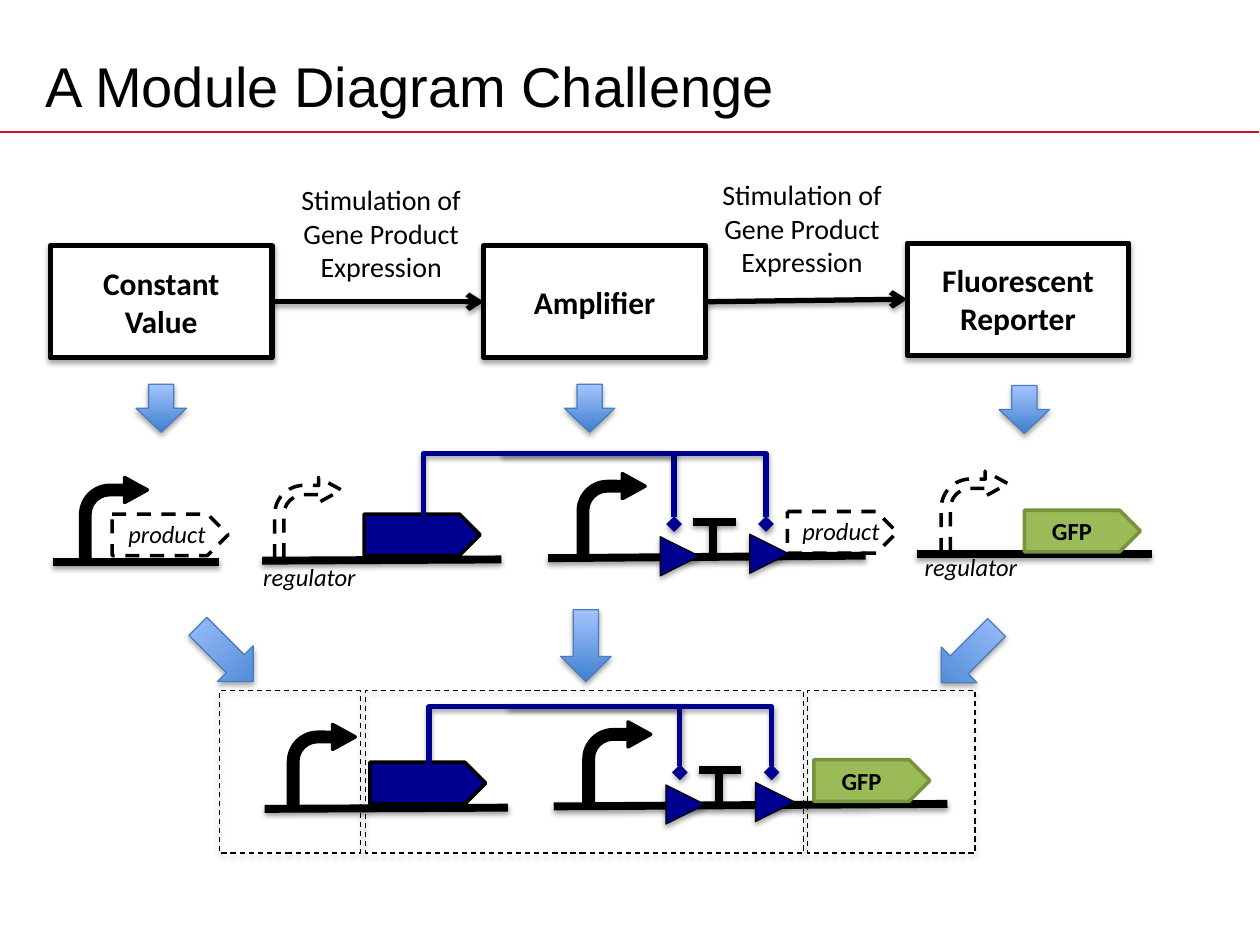
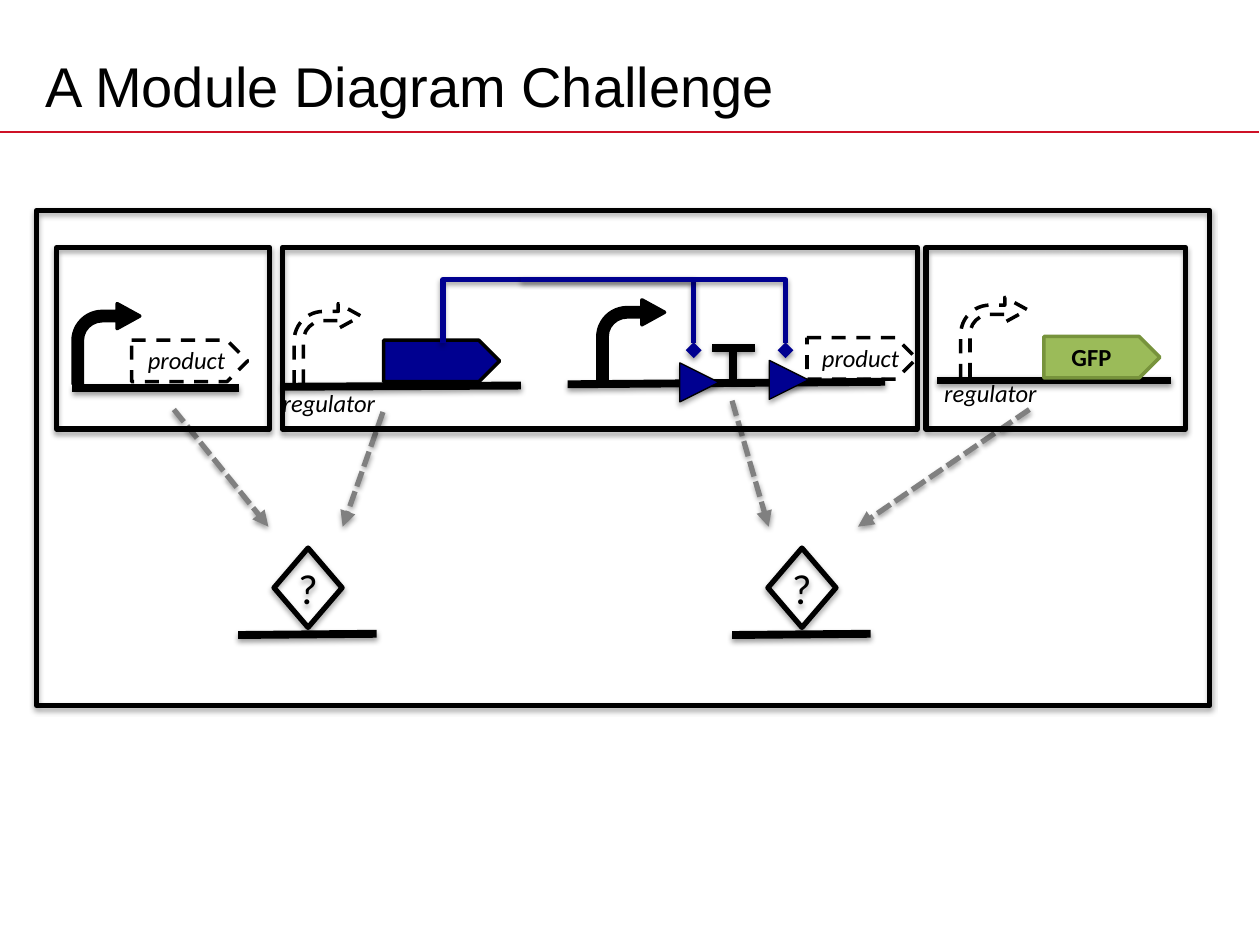
from dataclasses import dataclass
from typing import NamedTuple, Optional

from lxml.etree import SubElement
from pptx import Presentation
from pptx.dml.color import RGBColor
from pptx.enum.dml import MSO_LINE
from pptx.enum.shapes import MSO_CONNECTOR, MSO_SHAPE
from pptx.enum.text import MSO_ANCHOR, MSO_AUTO_SIZE, PP_ALIGN
from pptx.oxml.ns import qn
from pptx.util import Emu, Inches, Pt

WIDTH, HEIGHT = Inches(10), Inches(7.5)
COL, ROW = WIDTH / 100, HEIGHT / 75

BLACK = RGBColor(0x00, 0x00, 0x00)
WHITE = RGBColor(0xFF, 0xFF, 0xFF)
RED = RGBColor(0xCE, 0x11, 0x26)
NAVY = RGBColor(0x00, 0x00, 0x90)
GREEN = RGBColor(0x9B, 0xBB, 0x59)
MOSS = RGBColor(0x77, 0x93, 0x3C)
GREY = RGBColor(0x80, 0x80, 0x80)
BLUE = RGBColor(0x4B, 0x7E, 0xBC)
DEEP = RGBColor(0x3F, 0x80, 0xCE)
PALE = RGBColor(0xA4, 0xC4, 0xFF)


class Pen(NamedTuple):
    color: RGBColor
    size: float
    dash: Optional[MSO_LINE] = None


class Shade(NamedTuple):
    alpha: int
    drop: float


@dataclass(frozen=True)
class Box:
    """A frame in grid columns and rows."""
    left: float
    top: float
    wide: float
    high: float

    def place(self) -> tuple:
        return (Emu(round(self.left * COL)), Emu(round(self.top * ROW)),
                Emu(round(self.wide * COL)), Emu(round(self.high * ROW)))


THIN, EDGE, BOLD, STRAND = (Pen(BLACK, size) for size in (0.75, 2, 3, 4.5))
DASHED = Pen(BLACK, 2, MSO_LINE.DASH)
CELL = Pen(BLACK, 0.75, MSO_LINE.DASH)
TRACE = Pen(GREY, 3, MSO_LINE.SQUARE_DOT)
SOLID, STROKE = Shade(35, 1.8), Shade(38, 1.6)
BEND = (0.139, 0.187, 0.34, 0.438)
GENE = (1, 0.5)


def finish(shape, pen: Pen, shade: Optional[Shade], tip: str = "") -> None:
    """Set the line, its arrowhead and the shadow."""
    shape.line.color.rgb = pen.color
    shape.line.width = Pt(pen.size)
    if pen.dash:
        shape.line.dash_style = pen.dash
    props = shape.element.spPr
    if tip:
        SubElement(props.find(qn("a:ln")), qn("a:tailEnd"), type=tip)
    effects = SubElement(props, qn("a:effectLst"))
    if shade:
        outer = SubElement(effects, qn("a:outerShdw"), blurRad=str(Pt(3.1)),
                           dist=str(Pt(shade.drop)), dir="5400000", rotWithShape="0")
        black = SubElement(outer, qn("a:srgbClr"), val=str(BLACK))
        SubElement(black, qn("a:alpha"), val=str(shade.alpha * 1000))


def draw(slide, kind, box: Box, pen: Pen, fill: Optional[RGBColor] = None,
         shade: Optional[Shade] = None, adjust: tuple = (), turn: float = 0):
    shape = slide.shapes.add_shape(kind, *box.place())
    shape.rotation = turn
    for index, value in enumerate(adjust):
        shape.adjustments[index] = value
    if fill is None:
        shape.fill.background()
    else:
        shape.fill.solid()
        shape.fill.fore_color.rgb = fill
    finish(shape, pen, shade)
    return shape


def link(slide, x1: float, y1: float, x2: float, y2: float, pen: Pen = STRAND,
         tip: str = "", shade: Optional[Shade] = STROKE):
    start, end = Box(x1, y1, 0, 0).place(), Box(x2, y2, 0, 0).place()
    line = slide.shapes.add_connector(MSO_CONNECTOR.STRAIGHT, *start[:2], *end[:2])
    finish(line, pen, shade, tip)
    return line


def wire(slide, points: list) -> None:
    """Draw a bent control line that ends in a diamond."""
    spots = [Box(x, y, 0, 0).place()[:2] for x, y in points]
    outline = slide.shapes.build_freeform(*spots[0])
    outline.add_line_segments(spots[1:], close=False)
    shape = outline.convert_to_shape()
    shape.fill.background()
    finish(shape, Pen(NAVY, 3), STROKE, "diamond")


def write(shape, lines: list, size: float, bold: bool = False, slant: bool = False,
          align=PP_ALIGN.CENTER, wrap: bool = True) -> None:
    frame = shape.text_frame
    frame.word_wrap = wrap
    for index, line in enumerate(lines):
        para = frame.add_paragraph() if index else frame.paragraphs[0]
        para.alignment = align
        run = para.add_run()
        run.text = line
        font = run.font
        font.name, font.size, font.bold, font.italic = "Calibri", Pt(size), bold, slant
        font.color.rgb = BLACK


def label(slide, box: Box, lines: list, size: float, slant: bool, align) -> None:
    text = slide.shapes.add_textbox(*box.place())
    write(text, lines, size, slant=slant, align=align, wrap=False)
    text.text_frame.auto_size = MSO_AUTO_SIZE.SHAPE_TO_FIT_TEXT


def name_part(slide, left: float, top: float, wide: float, text: str) -> None:
    label(slide, Box(left, top, wide, 3.4), [text], 14, True, PP_ALIGN.LEFT)


def bend(slide, left: float, top: float, known: bool = True) -> None:
    """Draw a promoter, dashed when it is not known yet."""
    draw(slide, MSO_SHAPE.BENT_ARROW, Box(left, top, 5.3, 6.4),
         EDGE if known else DASHED, BLACK if known else None, adjust=BEND)


def gene(slide, left: float, top: float, pen: Pen = DASHED,
         fill: Optional[RGBColor] = None, wide: float = 9.2):
    return draw(slide, MSO_SHAPE.RIGHT_ARROW, Box(left, top, wide, 3.3), pen, fill,
                adjust=GENE)


def glow_gene(slide, left: float, top: float) -> None:
    write(gene(slide, left, top, Pen(MOSS, 2), GREEN), ["GFP"], 14, bold=True, wrap=False)


def add_amp(slide, dx: float, dy: float, bar: float, end: float) -> None:
    """Draw the amplifier; bar is the wire's row, end the strand's last column."""
    gene(slide, 28.9 + dx, 40.8 + dy, EDGE, NAVY)
    bend(slide, 45.9 + dx, 37.6 + dy)
    link(slide, 43.5 + dx, 44.3 + dy, end, 44.1 + dy)
    link(slide, 56.6 + dx, 41.4 + dy, 56.6 + dx, 44.1 + dy)
    link(slide, 55 + dx, 41.4 + dy, 58.4 + dx, 41.4 + dy)
    for left, top in ((52.4, 42.6), (59.5, 42.4)):
        draw(slide, MSO_SHAPE.ISOSCELES_TRIANGLE, Box(left + dx, top + dy, 3.1, 3.1),
             THIN, NAVY, SOLID, turn=90)
    first, second, last = 33.6 + dx, 53.5 + dx, 60.8 + dx
    low = 41.6 + dy
    wire(slide, [(first, 41 + dy), (first, bar), (second, bar), (second, low)])
    wire(slide, [(39.8 + dx, bar), (last, bar), (last, low)])


def add_parts(slide, dx: float, dy: float, start: float) -> None:
    """Draw the row of three modules; start is the first promoter's column."""
    bend(slide, start, 37.9 + dy)
    link(slide, 4.2 + dx, 44.6 + dy, 17.4 + dx, 44.6 + dy)
    link(slide, 72.8 + dx, 44 + dy, 91.4 + dx, 44 + dy)
    glow_gene(slide, 81.3 + dx, 40.5 + dy)
    link(slide, 20.8 + dx, 44.5 + dy, 39.8 + dx, 44.4 + dy)
    add_amp(slide, dx, dy, 36 + dy, 68.7 + dx)
    for left, top in ((9.2, 40.7), (62.7, 40.5)):
        name_part(slide, left + dx, top + dy, 8.7, "product")
    for left, top in ((72.4, 43.3), (19.9, 44.1)):
        name_part(slide, left + dx, top + dy, 9.9, "regulator")
    gene(slide, 8.9 + dx, 40.8 + dy)
    gene(slide, 62.5 + dx, 40.6 + dy, wide=8.7)
    bend(slide, 21.8 + dx, 37.9 + dy, known=False)
    bend(slide, 74.7 + dx, 37.4 + dy, known=False)


def add_step(slide, left: float, top: float, high: float, turn: float = 0) -> None:
    shape = draw(slide, MSO_SHAPE.DOWN_ARROW, Box(left, top, 4, high), Pen(BLUE, 0.75),
                 shade=SOLID, turn=turn)
    shape.fill.gradient()
    shape.fill.gradient_angle = 90
    for stop, color, spot in zip(shape.fill.gradient_stops, (DEEP, PALE), (0, 1)):
        stop.color.rgb = color
        stop.position = spot


def new_slide(deck):
    slide = deck.slides.add_slide(deck.slide_layouts[5])
    link(slide, 0, 10.5, 99.9, 10.5, Pen(RED, 1), shade=None)
    title = slide.shapes.title
    title.left, title.top, title.width, title.height = Box(2.6, 3, 90, 7.5).place()
    title.text_frame.vertical_anchor = MSO_ANCHOR.MIDDLE
    para = title.text_frame.paragraphs[0]
    para.alignment = PP_ALIGN.LEFT
    run = para.add_run()
    run.text = "A Module Diagram Challenge"
    run.font.name, run.font.size = "Arial", Pt(32)
    run.font.color.rgb = BLACK
    return slide


def add_design(deck) -> None:
    slide = new_slide(deck)
    stages = []
    for left, top, lines in ((4, 19.5, ["Constant", "Value"]),
                             (38.4, 19.5, ["Amplifier"]),
                             (72, 19.3, ["Fluorescent", "Reporter"])):
        stage = draw(slide, MSO_SHAPE.RECTANGLE, Box(left, top, 17.6, 8.9), BOLD,
                     WHITE, SOLID)
        write(stage, lines, 18, bold=True)
        stages.append(stage)
    for source, target in zip(stages, stages[1:]):
        line = link(slide, 0, 0, 1, 1, BOLD, "arrow")
        line.begin_connect(source, 3)
        line.end_connect(target, 1)
    for left, top in ((22.8, 14), (56.2, 13.6)):
        label(slide, Box(left, top, 14.9, 9.1),
              ["Stimulation of", "Gene Product", "Expression"], 16, False,
              PP_ALIGN.CENTER)

    bend(slide, 22.9, 57.5)
    link(slide, 21, 64.2, 40.3, 64.1)
    add_amp(slide, 0.45, 19.7, 56.1, 75.2)
    glow_gene(slide, 64.6, 60.3)
    add_parts(slide, 0, 0, 6.4)

    for step in ((10.8, 30.5, 3.8), (44.8, 30.5, 3.8), (79.3, 30.6, 3.8),
                 (15.9, 48.8, 6.2, 315), (44.5, 48.4, 5.7), (74.9, 48.9, 6.2, 45)):
        add_step(slide, *step)
    for left, wide in ((29, 34.8), (64.1, 13.3), (17.4, 11.2)):
        draw(slide, MSO_SHAPE.RECTANGLE, Box(left, 54.8, wide, 12.9), CELL, shade=SOLID)


def add_puzzle(deck) -> None:
    slide = new_slide(deck)
    add_parts(slide, 1.55, -13.8, 5.8)
    for ends in ((30.4, 32.7, 27.2, 41.8), (13.8, 32.5, 21.3, 41.8),
                 (81.7, 32.5, 68.1, 41.8), (58.1, 31.8, 61, 41.8)):
        link(slide, *ends, TRACE, "triangle")
    for left in (18.9, 58.1):
        link(slide, left, 50.4, left + 11, 50.3)
        query = draw(slide, MSO_SHAPE.DIAMOND, Box(left + 2.85, 43.5, 5.4, 6.3), BOLD,
                     shade=SOLID)
        frame = query.text_frame
        frame.margin_left = frame.margin_right = frame.margin_top = frame.margin_bottom = 0
        write(query, ["?"], 24, wrap=False)
    for box in (Box(2.9, 16.7, 93.1, 39.3), Box(4.5, 19.65, 16.9, 14.4),
                Box(73.5, 19.65, 20.6, 14.4), Box(22.4, 19.65, 50.4, 14.4)):
        draw(slide, MSO_SHAPE.RECTANGLE, box, BOLD, shade=SOLID)


def main() -> None:
    deck = Presentation()
    deck.slide_width, deck.slide_height = WIDTH, HEIGHT
    add_design(deck)
    add_puzzle(deck)
    deck.save("out.pptx")


if __name__ == "__main__":
    main()
